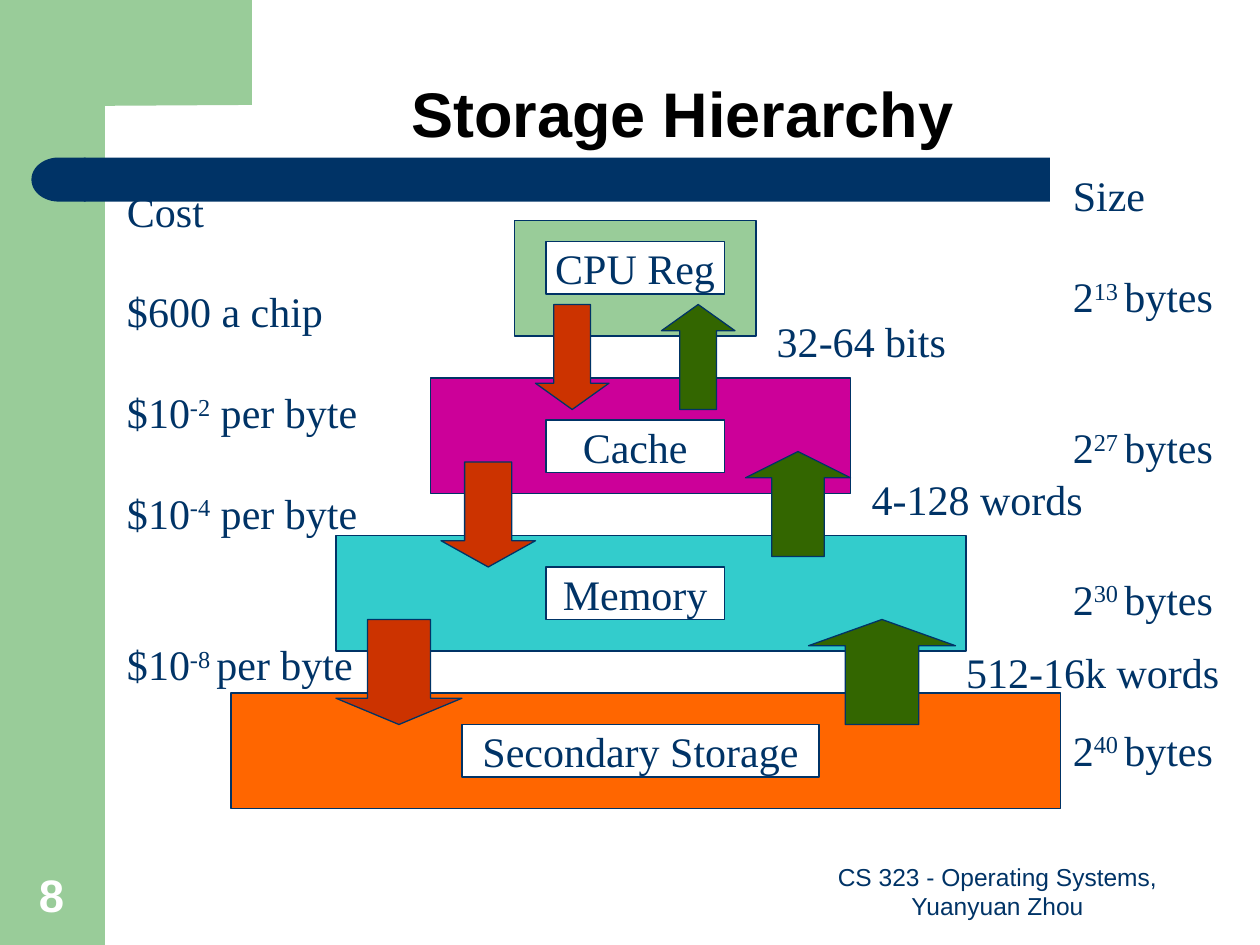
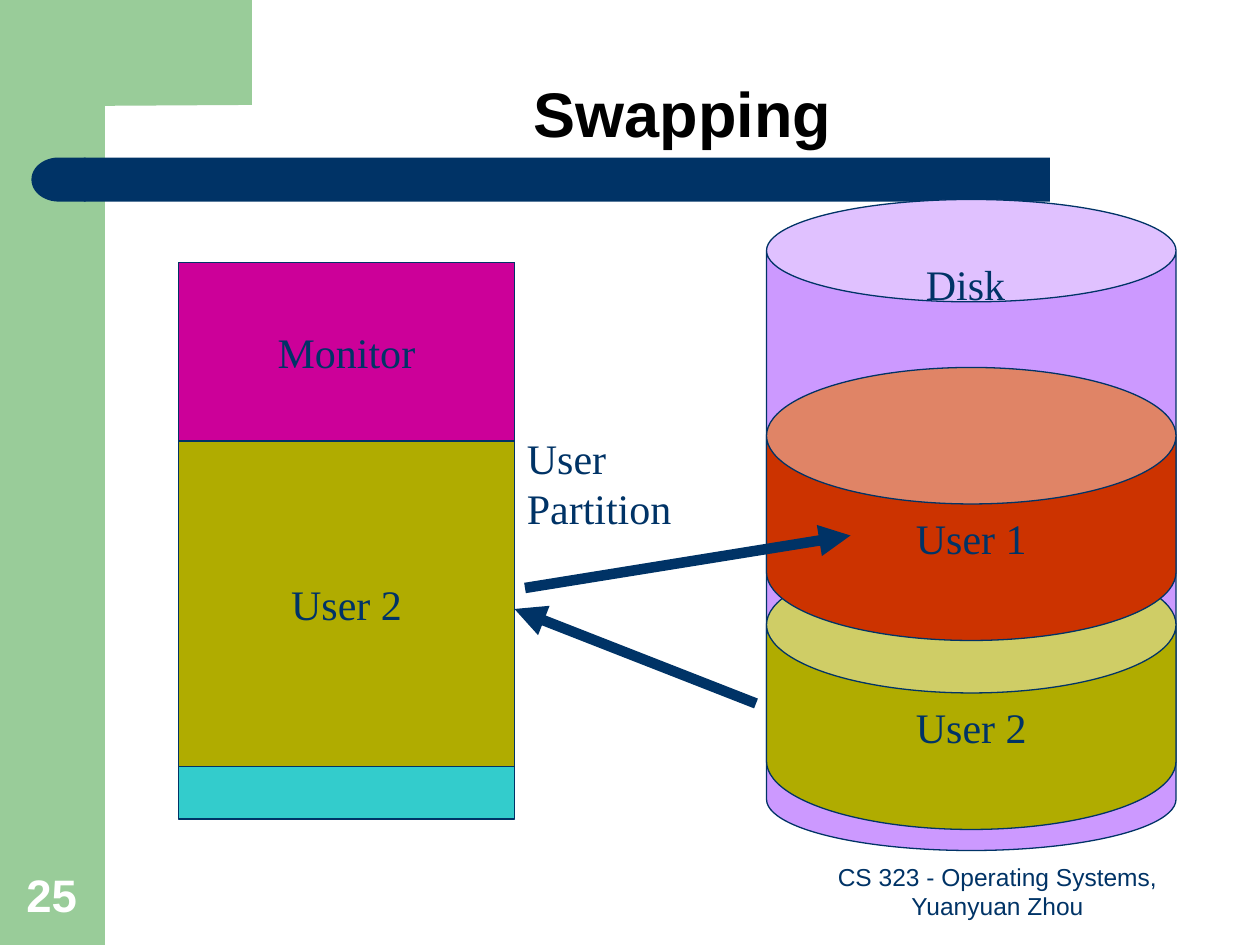
from lxml.etree import SubElement
from pptx import Presentation
from pptx.dml.color import RGBColor
from pptx.enum.shapes import MSO_CONNECTOR, MSO_SHAPE as SHAPE
from pptx.enum.text import MSO_ANCHOR as ANCHOR, MSO_AUTO_SIZE as AUTO, PP_ALIGN as ALIGN
from pptx.oxml.ns import qn
from pptx.util import Pt

COLORS = {
    "navy": "003366", "green": "99CC99", "magenta": "CC0099", "cyan": "33CCCC",
    "orange": "FF6600", "red": "CC3300", "forest": "336600", "olive": "B0AC00",
    "lilac": "CC99FF", "white": "FFFFFF", "black": "000000",
}
SERIF, SANS = "Times New Roman", "Arial"
LINE = 28.8
FOOTER = "CS 323 - Operating Systems, Yuanyuan Zhou"


def rgb(name):
    """Return the named colour."""
    return RGBColor.from_string(COLORS[name])


class Deck:
    """Holds the shared style and the current slide."""

    def __init__(self):
        """Create the presentation and choose its layout."""
        self.prs = Presentation()
        self.prs.slide_width, self.prs.slide_height = Pt(720), Pt(540)
        self.layout = self.prs.slide_layouts[5]
        self.slide = None

    def decorate(self):
        """Move the green corner and the navy band into the layout."""
        corner = [(144, 60), (60, 60.5), (55.5, 61), (51, 66),
                  (49, 75), (48.2, 92), (36, 92), (36, 0)]
        fb = self.slide.shapes.build_freeform(Pt(144), Pt(0))
        fb.add_line_segments([(Pt(x), Pt(y)) for x, y in corner])
        cap = self.shape(SHAPE.FLOWCHART_DELAY, (18, 90, 31, 25.2), "navy", None)
        cap.element.spPr.get_or_add_xfrm().set("flipH", "1")
        parts = [
            self.shape(SHAPE.RECTANGLE, (0, 0, 60, 540), "green", None),
            self.paint(fb.convert_to_shape(), "green", None),
            self.shape(SHAPE.RECTANGLE, (48, 90, 552, 25.2), "navy", None),
            cap,
        ]
        for i, sp in enumerate(parts):
            self.layout.shapes.element.insert(2 + i, sp.element)

    def new_slide(self, title):
        """Add a slide with its title."""
        self.slide = self.prs.slides.add_slide(self.layout)
        if len(self.prs.slides) == 1:
            self.decorate()
        sp = self.slide.shapes.title
        sp.left, sp.top, sp.width, sp.height = map(Pt, (78, 0, 624, 90))
        self.put_text(sp, [title], 36, SANS, "black", ALIGN.CENTER, ANCHOR.BOTTOM, bold=True)
        sp.text_frame.paragraphs[0].line_spacing = 0.9

    def paint(self, sp, fill, line="navy"):
        """Fill and outline a shape without shadow."""
        sp.shadow.inherit = False
        sp.fill.solid()
        sp.fill.fore_color.rgb = rgb(fill)
        if line:
            sp.line.color.rgb = rgb(line)
            sp.line.width = Pt(0.75)
        else:
            sp.line.fill.background()
        return sp

    def shape(self, kind, box, fill, line="navy", text=None, adj=None):
        """Draw a preset shape, with a centred label if given."""
        sp = self.paint(self.slide.shapes.add_shape(kind, *map(Pt, box)), fill, line)
        if adj is not None:
            sp.adjustments[len(sp.adjustments) - 1] = adj
        if text:
            self.put_text(sp, [text], align=ALIGN.CENTER, anchor=ANCHOR.MIDDLE, wrap=False)
        return sp

    def block_arrow(self, kind, box, fill):
        """Draw a block arrow whose head is 15 points long."""
        self.shape(kind, box, fill, adj=15 / min(box[2:]))

    def put_text(self, sp, lines, size=24, font=SERIF, color="navy", align=ALIGN.LEFT,
                 anchor=ANCHOR.TOP, wrap=True, bold=False, gaps=None):
        """Set lines of text; ^ toggles superscript, gaps count line heights above."""
        tf = sp.text_frame
        tf.word_wrap, tf.auto_size, tf.vertical_anchor = wrap, AUTO.NONE, anchor
        for i, line in enumerate(lines):
            p = tf.paragraphs[0] if i == 0 else tf.add_paragraph()
            p.alignment = align
            if font == SERIF:
                p.line_spacing = Pt(LINE)
            p.space_before = Pt(LINE * gaps[i] if gaps else 0)
            for j, part in enumerate(line.split("^")):
                r = p.add_run()
                r.text = part
                r.font.size, r.font.name, r.font.bold = Pt(size), font, bold
                r.font.color.rgb = rgb(color)
                if j % 2:
                    r._r.get_or_add_rPr().set("baseline", "30000")

    def text(self, box, lines, **style):
        """Add a text box."""
        self.put_text(self.slide.shapes.add_textbox(*map(Pt, box)), lines, **style)

    def arrow(self, start, end):
        """Draw a thick line with an arrowhead at its end."""
        c = self.slide.shapes.add_connector(MSO_CONNECTOR.STRAIGHT, *map(Pt, start + end))
        c.line.color.rgb = rgb("navy")
        c.line.width = Pt(6)
        SubElement(c.element.spPr.get_or_add_ln(), qn("a:tailEnd"), type="triangle")
        SubElement(c.element.spPr, qn("a:effectLst"))

    def footer(self, number):
        """Add the course footer and the slide number."""
        style = {"font": SANS, "align": ALIGN.CENTER, "anchor": ANCHOR.BOTTOM}
        self.text((456, 492, 228, 37.5), [FOOTER], size=14, **style)
        self.text((6.5, 492, 46, 38), [str(number)], size=26, color="white", bold=True, **style)


def storage_hierarchy(deck):
    """Build the storage pyramid slide."""
    deck.new_slide("Storage Hierarchy")
    tiers = [(294, 138, "green"), (246, 240, "magenta"), (192, 360, "cyan"), (132, 474, "orange")]
    for i, (x, w, fill) in enumerate(tiers):
        deck.shape(SHAPE.RECTANGLE, (x, 126 + 90 * i, w, 66), fill)
    for i, (x, w) in enumerate([(306, 42), (252, 54), (192, 72)]):
        deck.block_arrow(SHAPE.DOWN_ARROW, (x, 174 + 90 * i, w, 60), "red")
    for x, y, w in [(462, 354, 84), (426, 258, 60), (378, 174, 42)]:
        deck.block_arrow(SHAPE.UP_ARROW, (x, y, w, 60), "forest")
    costs = ["Cost", "$600 a chip", "$10^-2^ per byte", "$10^-4^ per byte", "$10^-8 ^per byte"]
    sizes = ["Size"] + [f"2^{n} ^bytes" for n in (13, 27, 30, 40)]
    deck.text((65.5, 102.24, 150, 324), costs, gaps=[0, 1, 1, 1, 2])
    deck.text((606, 93.6, 108, 410), sizes, gaps=[0, 1, 2, 2, 2])
    labels = [("CPU Reg", 312, 138, 102), ("Cache", 312, 240, 102),
              ("Memory", 312, 324, 102), ("Secondary Storage", 264, 414, 204)]
    for label, x, y, w in labels:
        deck.shape(SHAPE.RECTANGLE, (x, y, w, 30), "white", text=label)
    units = [("32-64 bits", 436.8, 177), ("4-128 words", 491, 267), ("512-16k words", 545, 366)]
    for unit, x, y in units:
        deck.text((x, y, 172, 36), [unit])
    deck.footer(8)


def swapping(deck):
    """Build the memory and disk swapping slide."""
    deck.new_slide("Swapping")
    deck.shape(SHAPE.RECTANGLE, (102, 150, 192, 318), "cyan")
    deck.shape(SHAPE.RECTANGLE, (102, 150, 192, 102), "magenta", text="Monitor")
    deck.shape(SHAPE.CAN, (438, 114, 234, 372), "lilac", adj=0.25)
    deck.text((522, 144, 64, 36), ["Disk"])
    deck.shape(SHAPE.CAN, (438, 318, 234, 156), "olive", text="User 2", adj=0.5)
    deck.shape(SHAPE.RECTANGLE, (102, 252, 192, 186), "olive", text="User 2")
    deck.arrow((432, 402), (294, 348))
    deck.text((294, 243.5, 105, 65), ["User", "Partition"])
    deck.shape(SHAPE.CAN, (438, 210, 234, 156), "red", text="User 1", adj=0.5)
    deck.arrow((300, 336), (486, 306))
    deck.footer(25)


def main():
    """Build and save both slides."""
    deck = Deck()
    storage_hierarchy(deck)
    swapping(deck)
    deck.prs.save("out.pptx")


if __name__ == "__main__":
    main()
